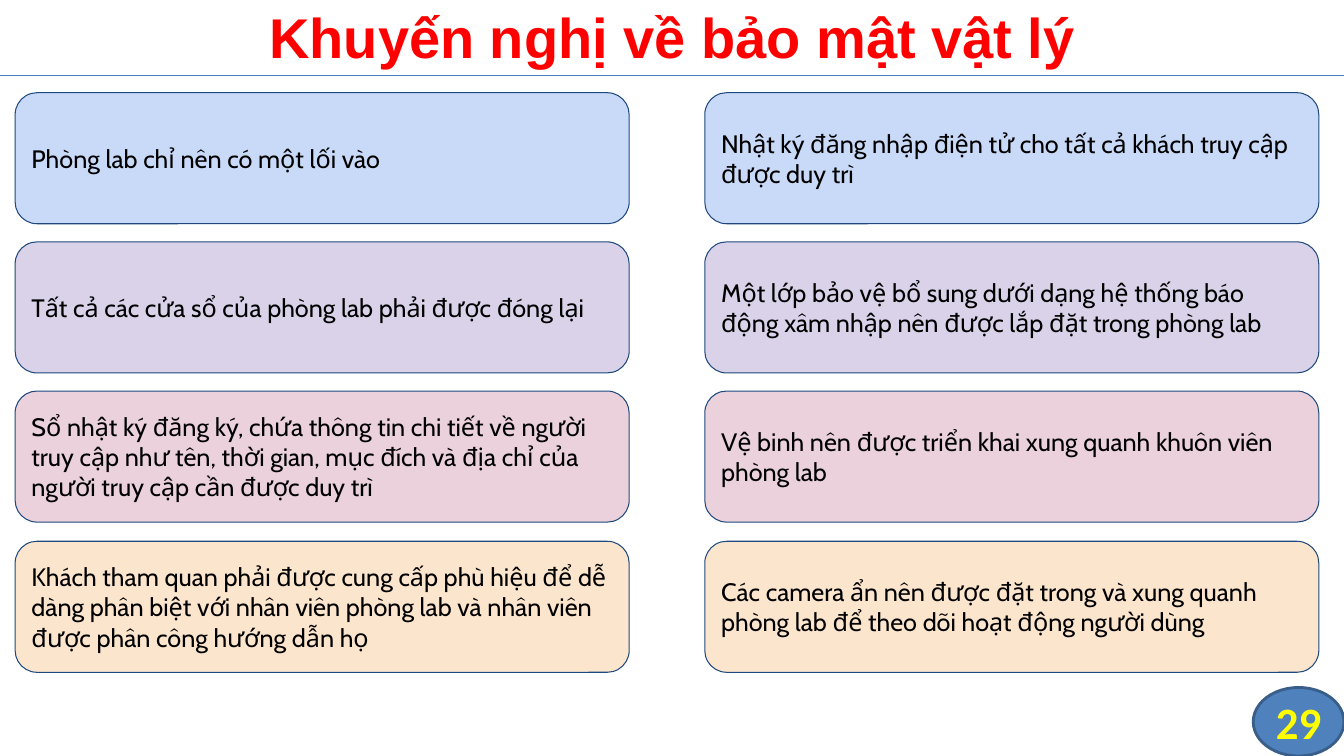
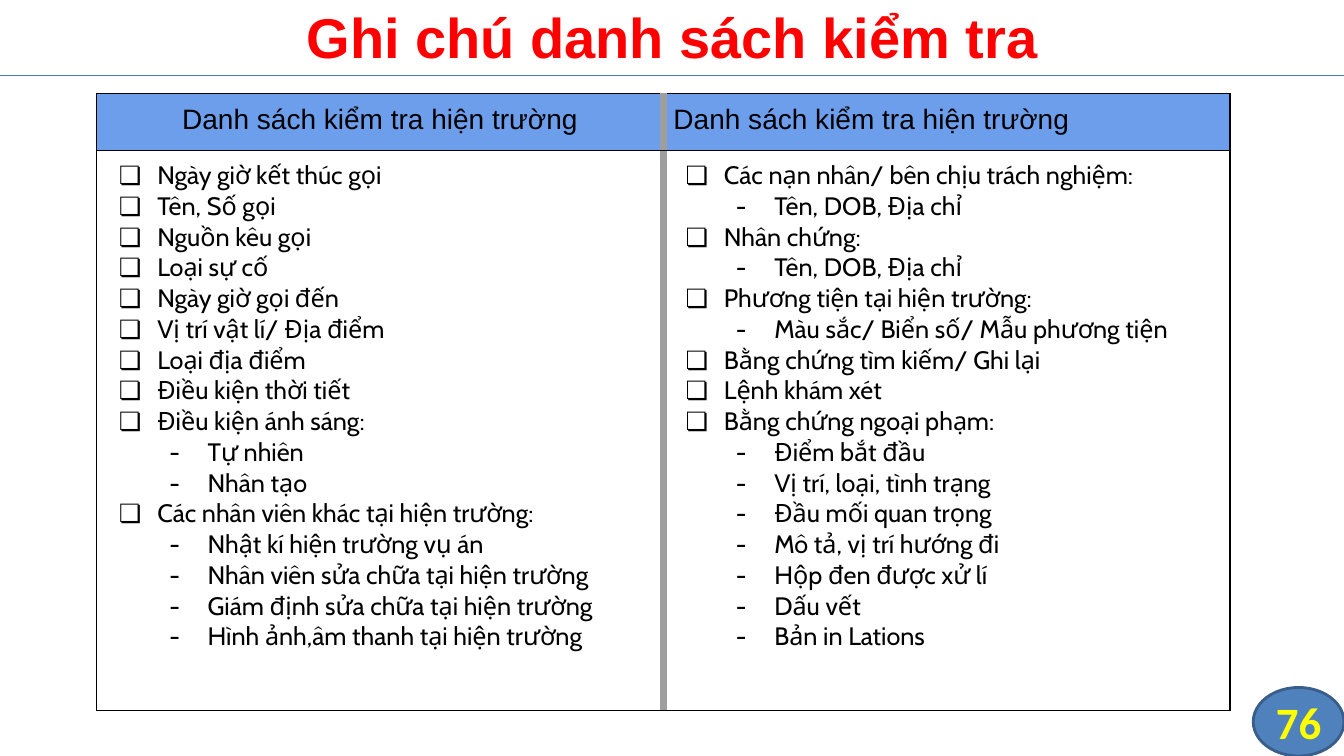
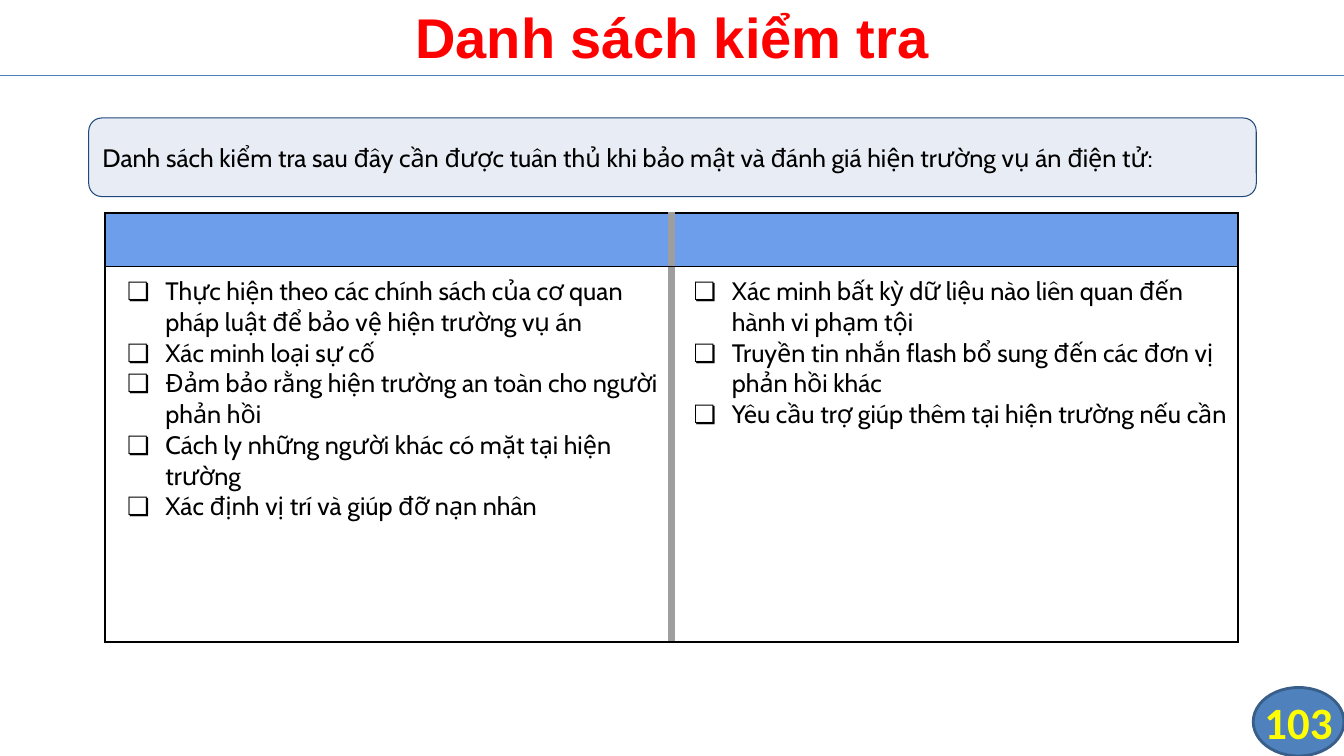
import lxml.etree
import pptx
import pptx.dml.color
import pptx.enum.shapes
import pptx.enum.text
import pptx.oxml.ns
import pptx.util

RGB = pptx.dml.color.RGBColor
SHAPE = pptx.enum.shapes.MSO_SHAPE
ALIGN = pptx.enum.text.PP_ALIGN
MIDDLE = pptx.enum.text.MSO_ANCHOR.MIDDLE
TOP = pptx.enum.text.MSO_ANCHOR.TOP

BLACK = RGB(0x00, 0x00, 0x00)
RED = RGB(0xFF, 0x00, 0x00)
YELLOW = RGB(0xFF, 0xFF, 0x00)
NAVY = RGB(0x1F, 0x49, 0x7D)
BADGE_FILL = RGB(0x4F, 0x81, 0xBD)
BADGE_EDGE = RGB(0x39, 0x5E, 0x89)
RULE = RGB(0x4A, 0x7D, 0xBA)
HEADER_BLUE = RGB(0x6D, 0x9E, 0xEB)
DIVIDER_GREY = RGB(0x9E, 0x9E, 0x9E)
PALE_BLUE = RGB(0xC9, 0xDA, 0xF8)
PALE_VIOLET = RGB(0xD9, 0xD2, 0xE9)
PALE_PINK = RGB(0xEA, 0xD1, 0xDC)
PALE_ORANGE = RGB(0xFC, 0xE5, 0xCD)
PALE_GREY = RGB(0xE8, 0xEC, 0xF4)

WIDTH, HEIGHT = 1333, 750
INSET = 10


def px(length):
    """Convert px, 100 to the inch, to EMU."""
    return pptx.util.Emu(length * 9144)


def add_element(parent, tag, **attributes):
    return lxml.etree.SubElement(parent, pptx.oxml.ns.qn(tag), attributes)


def write(para, text, font="Cabin", size=18, color=BLACK, bold=False, align=ALIGN.LEFT):
    para.alignment = align
    span = para.add_run()
    span.text = text
    span.font.name = font
    span.font.size = pptx.util.Pt(size)
    span.font.color.rgb = color
    span.font.bold = bold


def add_bullet(para, mark, indent):
    properties = para._p.get_or_add_pPr()
    properties.set("marL", str(px(indent)))
    properties.set("indent", str(px(-38)))
    add_element(add_element(properties, "a:buClr"), "a:srgbClr", val=str(BLACK))
    add_element(properties, "a:buFont", typeface="Cabin")
    add_element(properties, "a:buChar", char=mark)


def add_border(cell, side, color, points):
    properties = cell._tc.get_or_add_tcPr()
    line = add_element(properties, f"a:ln{side}", w=str(pptx.util.Pt(points)))
    add_element(add_element(line, "a:solidFill"), "a:srgbClr", val=str(color))


def set_insets(target, inset):
    target.margin_left = target.margin_right = px(inset)
    target.margin_top = target.margin_bottom = px(inset)


class Deck:
    def __init__(self):
        self.file = pptx.Presentation()
        self.file.slide_width, self.file.slide_height = px(WIDTH), px(HEIGHT)
        self.page = None

    def add_page(self, title, number):
        """Start a slide with its title, rule and number badge."""
        self.page = self.file.slides.add_slide(self.file.slide_layouts[5])
        self.title(title)
        self.rule(75)
        self.badge(number)

    def title(self, text):
        box = self.page.shapes.title
        box.left, box.top, box.width, box.height = px(0), px(-3), px(WIDTH), px(78)
        frame = box.text_frame
        frame.auto_size = pptx.enum.text.MSO_AUTO_SIZE.NONE
        frame.vertical_anchor = MIDDLE
        write(frame.paragraphs[0], text, font="Arial", size=40, color=RED,
              bold=True, align=ALIGN.CENTER)

    def rule(self, top):
        line = self.page.shapes.add_connector(
            pptx.enum.shapes.MSO_CONNECTOR.STRAIGHT, px(0), px(top), px(WIDTH), px(top))
        line.line.color.rgb = RULE
        line.line.width = pptx.util.Pt(0.75)
        add_element(line._element.spPr, "a:effectLst")

    def shape(self, kind, place, fill, edge, points, inset):
        """Add a filled shape and return its text frame."""
        box = self.page.shapes.add_shape(kind, *map(px, place))
        box.shadow.inherit = False
        box.fill.solid()
        box.fill.fore_color.rgb = fill
        box.line.color.rgb = edge
        box.line.width = pptx.util.Pt(points)
        frame = box.text_frame
        frame.word_wrap = True
        frame.vertical_anchor = MIDDLE
        set_insets(frame, inset)
        return frame

    def badge(self, number):
        frame = self.shape(SHAPE.FLOWCHART_CONNECTOR, (1243, 682, 90, 68),
                           BADGE_FILL, BADGE_EDGE, 2, 0)
        frame.word_wrap = False
        write(frame.paragraphs[0], str(number), font="Calibri", size=32,
              color=YELLOW, bold=True, align=ALIGN.CENTER)

    def card(self, text, place, fill):
        frame = self.shape(SHAPE.ROUNDED_RECTANGLE, place, fill, NAVY, 0.75, INSET)
        write(frame.paragraphs[0], text)

    def checklist(self, left, top, heights, columns, headers=(), edge=1):
        """Add a table with a header row over one bulleted list per column.

        A tuple inside a column holds the sub-items of the item before it.
        """
        table = self.page.shapes.add_table(
            2, 2, px(left), px(top), px(1124), px(sum(heights))).table
        table.first_row = table.horz_banding = False
        for row, height in zip(table.rows, heights):
            row.height = px(height)
        for column in table.columns:
            column.width = px(562)
        for row in range(2):
            for column in range(2):
                self.format_cell(table.cell(row, column), row, column, edge)
        for column, (text, align) in enumerate(headers):
            write(table.cell(0, column).text_frame.paragraphs[0], text,
                  font="Arial", size=20, align=align)
        for column, items in enumerate(columns):
            self.bullets(table.cell(1, column).text_frame, items)

    def format_cell(self, cell, row, column, edge):
        outer, divider, inner = (BLACK, edge), (DIVIDER_GREY, 6), (BLACK, 0.75)
        add_border(cell, "L", *(divider if column else outer))
        add_border(cell, "R", *(outer if column else divider))
        add_border(cell, "T", *(inner if row else outer))
        add_border(cell, "B", *(outer if row else inner))
        set_insets(cell, INSET)
        cell.vertical_anchor = TOP
        if row:
            cell.fill.background()
        else:
            cell.fill.solid()
            cell.fill.fore_color.rgb = HEADER_BLUE

    def bullets(self, frame, items):
        lines = []
        for item in items:
            if isinstance(item, tuple):
                lines += [(text, "-", 100) for text in item]
            else:
                lines.append((item, "❏", 50))
        for index, (text, mark, indent) in enumerate(lines):
            para = frame.add_paragraph() if index else frame.paragraphs[0]
            add_bullet(para, mark, indent)
            write(para, text)


CARD_FILLS = [PALE_BLUE, PALE_VIOLET, PALE_PINK, PALE_ORANGE]
ADVICE = [
    ["Phòng lab chỉ nên có một lối vào",
     "Tất cả các cửa sổ của phòng lab phải được đóng lại",
     "Sổ nhật ký đăng ký, chứa thông tin chi tiết về người truy cập như tên, "
     "thời gian, mục đích và địa chỉ của người truy cập cần được duy trì",
     "Khách tham quan phải được cung cấp phù hiệu để dễ dàng phân biệt với "
     "nhân viên phòng lab và nhân viên được phân công hướng dẫn họ"],
    ["Nhật ký đăng nhập điện tử cho tất cả khách truy cập được duy trì",
     "Một lớp bảo vệ bổ sung dưới dạng hệ thống báo động xâm nhập nên được "
     "lắp đặt trong phòng lab",
     "Vệ binh nên được triển khai xung quanh khuôn viên phòng lab",
     "Các camera ẩn nên được đặt trong và xung quanh phòng lab để theo dõi "
     "hoạt động người dùng"],
]

SCENE_HEADER = "Danh sách kiểm tra hiện trường"
CONTACT = ("Tên, DOB, Địa chỉ",)
SCENE_NOTES = [
    ["Ngày giờ kết thúc gọi", "Tên, Số gọi", "Nguồn kêu gọi", "Loại sự cố",
     "Ngày giờ gọi đến", "Vị trí vật lí/ Địa điểm", "Loại địa điểm",
     "Điều kiện thời tiết",
     "Điều kiện ánh sáng:", ("Tự nhiên", "Nhân tạo"),
     "Các nhân viên khác tại hiện trường:",
     ("Nhật kí hiện trường vụ án", "Nhân viên sửa chữa tại hiện trường",
      "Giám định sửa chữa tại hiện trường", "Hình ảnh,âm thanh tại hiện trường")],
    ["Các nạn nhân/ bên chịu trách nghiệm:", CONTACT,
     "Nhân chứng:", CONTACT,
     "Phương tiện tại hiện trường:", ("Màu sắc/ Biển số/ Mẫu phương tiện",),
     "Bằng chứng tìm kiếm/ Ghi lại", "Lệnh khám xét",
     "Bằng chứng ngoại phạm:",
     ("Điểm bắt đầu", "Vị trí, loại, tình trạng", "Đầu mối quan trọng",
      "Mô tả, vị trí hướng đi", "Hộp đen được xử lí", "Dấu vết", "Bản in Lations")],
]

SECURING_STEPS = [
    ["Thực hiện theo các chính sách của cơ quan pháp luật để bảo vệ hiện trường vụ án",
     "Xác minh loại sự cố",
     "Đảm bảo rằng hiện trường an toàn cho người phản hồi",
     "Cách ly những người khác có mặt tại hiện trường",
     "Xác định vị trí và giúp đỡ nạn nhân"],
    ["Xác minh bất kỳ dữ liệu nào liên quan đến hành vi phạm tội",
     "Truyền tin nhắn flash bổ sung đến các đơn vị phản hồi khác",
     "Yêu cầu trợ giúp thêm tại hiện trường nếu cần"],
]


def main():
    deck = Deck()

    deck.add_page("Khuyến nghị về bảo mật vật lý", 29)
    for column, texts in enumerate(ADVICE):
        for row, (text, fill) in enumerate(zip(texts, CARD_FILLS)):
            deck.card(text, (15 + 684 * column, 92 + 445 * row // 3, 609, 130), fill)

    deck.add_page("Ghi chú danh sách kiểm tra", 76)
    deck.checklist(96, 93, (56, 556), SCENE_NOTES,
                   headers=[(SCENE_HEADER, ALIGN.CENTER), (SCENE_HEADER, ALIGN.LEFT)])

    deck.add_page("Danh sách kiểm tra", 103)
    deck.card("Danh sách kiểm tra sau đây cần được tuân thủ khi bảo mật và đánh giá "
              "hiện trường vụ án điện tử:", (88, 117, 1158, 78), PALE_GREY)
    deck.checklist(104, 211, (53, 373), SECURING_STEPS, edge=1.5)

    deck.file.save("out.pptx")


if __name__ == "__main__":
    main()
